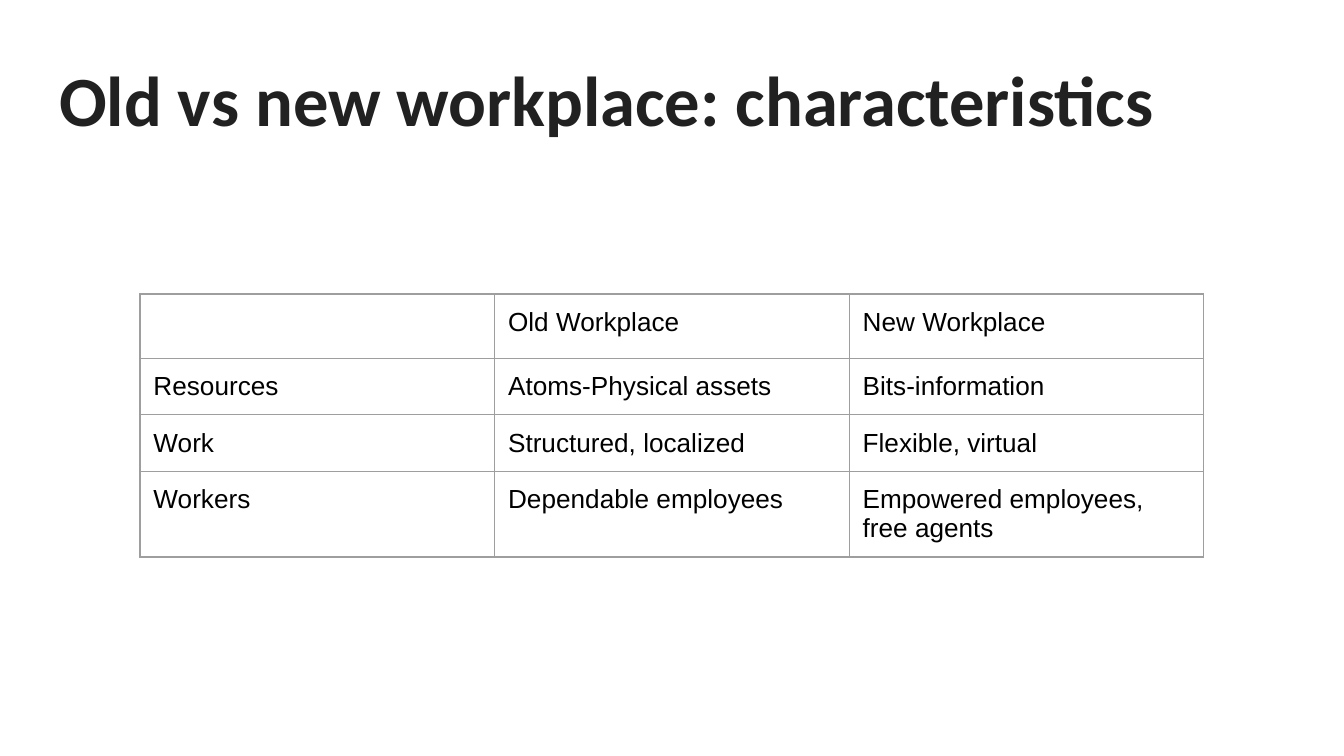
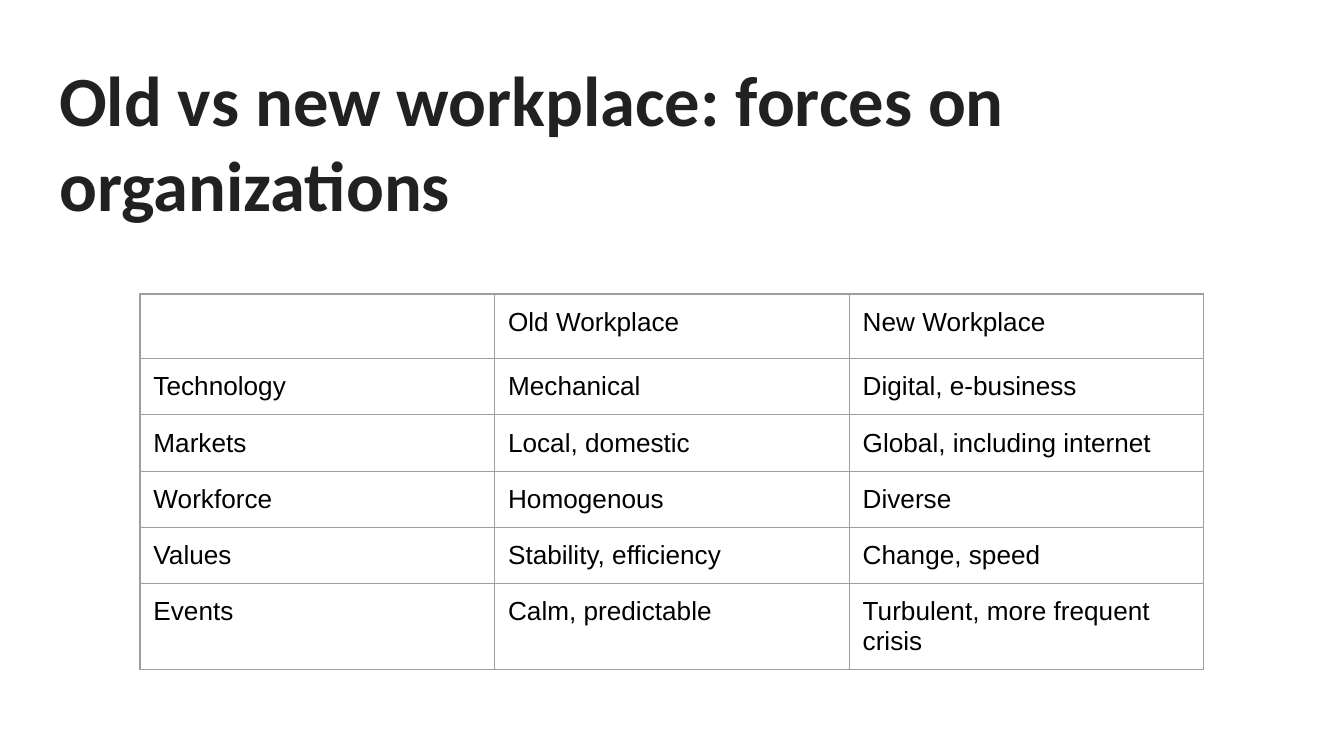
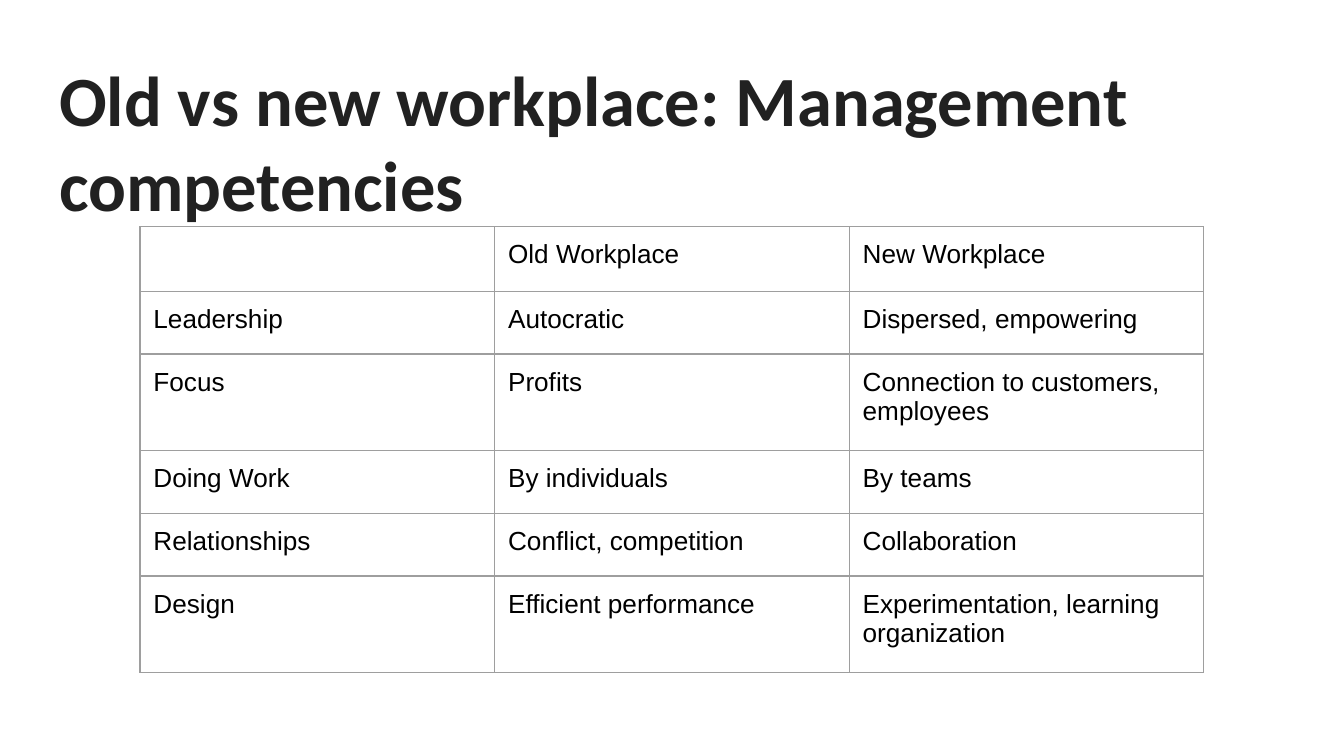
from lxml import etree
from pptx import Presentation
from pptx.dml.color import RGBColor
from pptx.enum.text import MSO_ANCHOR, MSO_AUTO_SIZE, PP_ALIGN
from pptx.oxml.ns import qn
from pptx.util import Pt

LEFT, TOP, NO_FIT = PP_ALIGN.LEFT, MSO_ANCHOR.TOP, MSO_AUTO_SIZE.NONE

# Shared look
WHITE = RGBColor(0xFF, 0xFF, 0xFF)
INK = RGBColor(0x21, 0x21, 0x21)
BLACK = RGBColor(0, 0, 0)
GRID = RGBColor(0x9E, 0x9E, 0x9E)
TITLE_FONT, TITLE_SIZE = "Calibri", 37.8
CELL_FONT, CELL_SIZE = "Arial", 14
TITLE_BOX = (24.5, 23, 671, 63.4)
TABLE_LEFT, COLUMN_WIDTH = 75, 190
GRID_WIDTH, INSET = 0.75, 7.2
TITLE_ONLY = 5

# Content: each table has its top, its row heights and its rows under the header
HEADER = ("", "Old Workplace", "New Workplace")
SLIDES = [
    {
        "title": "Old vs new workplace: characteristics",
        "top": 157.5,
        "heights": [34.6, 30, 30, 46],
        "rows": [
            ("Resources", "Atoms-Physical assets", "Bits-information"),
            ("Work", "Structured, localized", "Flexible, virtual"),
            ("Workers", "Dependable employees", "Empowered employees, free agents"),
        ],
    },
    {
        "title": "Old vs new workplace: forces on organizations",
        "top": 157.5,
        "heights": [34.6, 30, 30, 30, 30, 46],
        "rows": [
            ("Technology", "Mechanical", "Digital, e-business"),
            ("Markets", "Local, domestic", "Global, including internet"),
            ("Workforce", "Homogenous", "Diverse"),
            ("Values", "Stability, efficiency", "Change, speed"),
            ("Events", "Calm, predictable", "Turbulent, more frequent crisis"),
        ],
    },
    {
        "title": "Old vs new workplace: Management competencies",
        "top": 121.4,
        "heights": [34.6, 33.7, 51.6, 33.7, 33.7, 51.6],
        "rows": [
            ("Leadership", "Autocratic", "Dispersed, empowering"),
            ("Focus", "Profits", "Connection to customers, employees"),
            ("Doing Work", "By individuals", "By teams"),
            ("Relationships", "Conflict, competition", "Collaboration"),
            ("Design", "Efficient performance", "Experimentation, learning organization"),
        ],
    },
]


def set_insets(target):
    target.margin_left = target.margin_right = Pt(INSET)
    target.margin_top = target.margin_bottom = Pt(INSET)


def format_runs(para, font_name, size, color, bold):
    for span in para.runs:
        span.font.name = font_name
        span.font.size = Pt(size)
        span.font.color.rgb = color
        span.font.bold = bold


def add_title(page, text):
    title = page.shapes.title
    title.left, title.top, title.width, title.height = map(Pt, TITLE_BOX)
    frame = title.text_frame
    frame.text = text
    frame.word_wrap = True
    frame.auto_size = NO_FIT
    frame.vertical_anchor = TOP
    set_insets(frame)
    para = frame.paragraphs[0]
    para.alignment = LEFT
    format_runs(para, TITLE_FONT, TITLE_SIZE, INK, True)


def set_borders(cell):
    properties = cell._tc.get_or_add_tcPr()
    for position, side in enumerate(("a:lnL", "a:lnR", "a:lnT", "a:lnB")):
        line = etree.Element(qn(side), w=str(Pt(GRID_WIDTH)))
        fill = etree.SubElement(line, qn("a:solidFill"))
        etree.SubElement(fill, qn("a:srgbClr"), val=str(GRID))
        properties.insert(position, line)


def fill_cell(cell, text):
    cell.text = text
    cell.fill.background()
    cell.vertical_anchor = TOP
    set_insets(cell)
    set_borders(cell)
    para = cell.text_frame.paragraphs[0]
    format_runs(para, CELL_FONT, CELL_SIZE, BLACK, False)
    if not text:
        # An empty cell takes its line height from the paragraph end
        etree.SubElement(para._p, qn("a:endParaRPr"), sz=str(CELL_SIZE * 100))


def add_comparison(page, top, heights, rows):
    rows = [HEADER] + rows
    frame = page.shapes.add_table(
        len(rows), len(HEADER), Pt(TABLE_LEFT), Pt(top),
        Pt(COLUMN_WIDTH * len(HEADER)), Pt(sum(heights)))
    table = frame.table
    table.first_row = table.horz_banding = False
    for column in table.columns:
        column.width = Pt(COLUMN_WIDTH)
    for row, height, texts in zip(table.rows, heights, rows):
        row.height = Pt(height)
        for cell, text in zip(row.cells, texts):
            fill_cell(cell, text)


def main():
    deck = Presentation()
    deck.slide_width, deck.slide_height = Pt(720), Pt(405)
    for content in SLIDES:
        page = deck.slides.add_slide(deck.slide_layouts[TITLE_ONLY])
        page.background.fill.solid()
        page.background.fill.fore_color.rgb = WHITE
        add_title(page, content["title"])
        add_comparison(page, content["top"], content["heights"], content["rows"])
    deck.save("out.pptx")


if __name__ == "__main__":
    main()
